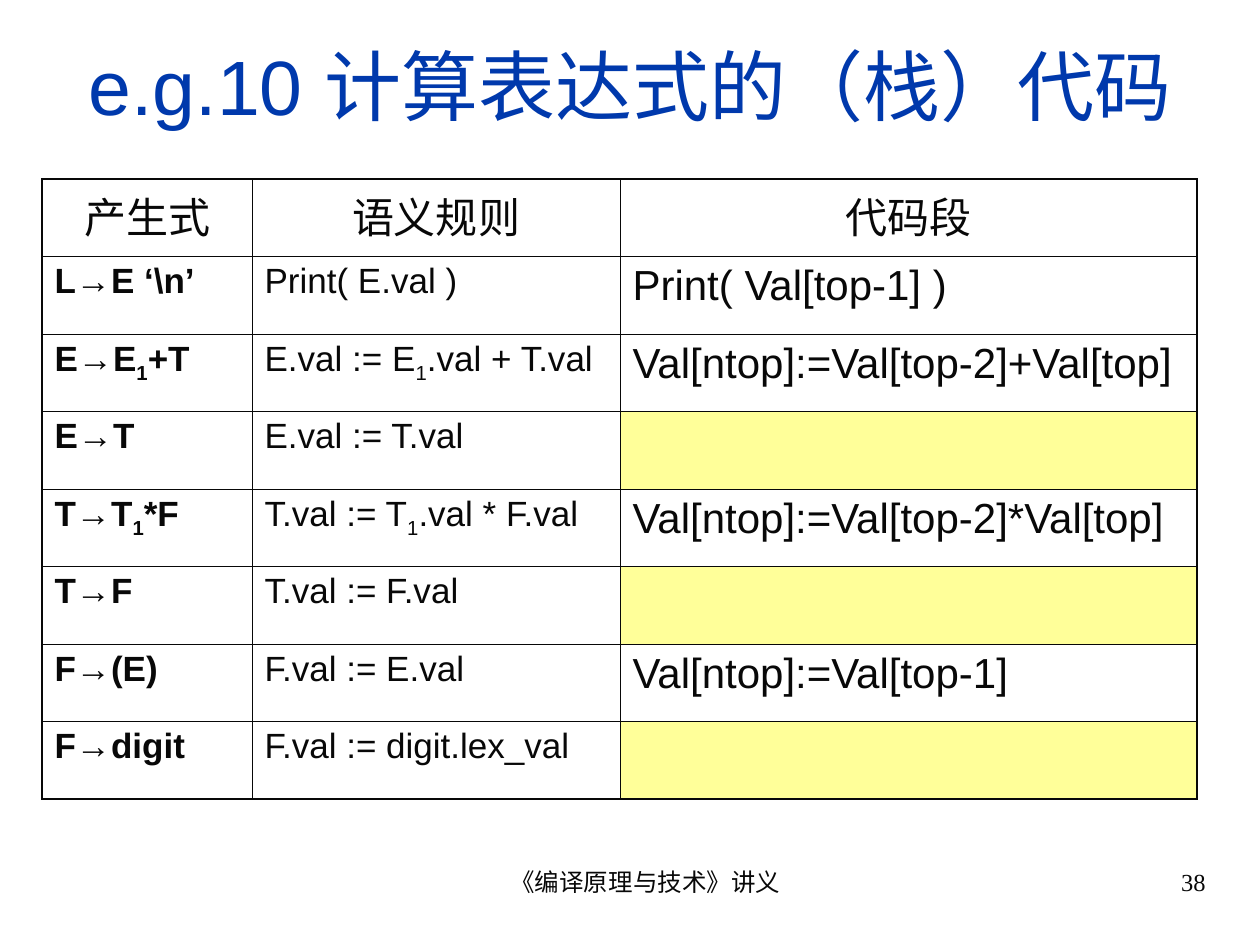
from dataclasses import dataclass

from lxml import etree
from pptx import Presentation
from pptx import util as u
from pptx.dml import color
from pptx.enum import text
from pptx.oxml import ns

EMU_PER_PX = 914400 / 126
COLORS = {"title": "0039AC", "ink": "080808", "blank": "FFFF99"}
SUBSCRIPT = "₁"
OUTER, INNER = 1.08, 0.45


@dataclass(frozen=True)
class Style:
    size: int
    face: str = "Arial"
    ink: str = "ink"
    bold: bool = False
    align: text.PP_ALIGN = text.PP_ALIGN.LEFT
    before: int = 0


@dataclass(frozen=True)
class Label:
    words: str
    left: int
    top: int
    width: int
    height: int
    style: Style
    anchor: text.MSO_ANCHOR = text.MSO_ANCHOR.TOP
    indent: int = 0


@dataclass(frozen=True)
class Rule:
    production: str
    semantics: str
    code: str = ""


CENTER, RIGHT = text.PP_ALIGN.CENTER, text.PP_ALIGN.RIGHT
FOOTER_FACE = "Times New Roman"
LABELS = [
    Label("e.g.10 计算表达式的（栈）代码", 42, 32, 1177, 105,
          Style(44, ink="title", align=CENTER), text.MSO_ANCHOR.MIDDLE),
    Label("《编译原理与技术》讲义", 431, 861, 399, 66,
          Style(14, FOOTER_FACE, align=CENTER), indent=30),
    Label("38", 903, 861, 315, 66,
          Style(14, FOOTER_FACE, align=RIGHT), indent=30),
]

HEADER = Style(24, align=CENTER, before=6)
COLUMN_STYLES = [Style(20, bold=True, before=5), Style(20, before=5), Style(24, before=6)]
COLUMN_WIDTHS = [210, 368, 577]
TABLE_LEFT, TABLE_TOP, TABLE_HEIGHT = 42, 179, 620
RULES = [
    Rule("产生式", "语义规则", "代码段"),
    Rule("L→E ‘\\n’", "Print( E.val )", "Print( Val[top-1] )"),
    Rule("E→E₁+T", "E.val := E₁.val + T.val", "Val[ntop]:=Val[top-2]+Val[top]"),
    Rule("E→T", "E.val := T.val"),
    Rule("T→T₁*F", "T.val := T₁.val * F.val", "Val[ntop]:=Val[top-2]*Val[top]"),
    Rule("T→F", "T.val := F.val"),
    Rule("F→(E)", "F.val := E.val", "Val[ntop]:=Val[top-1]"),
    Rule("F→digit", "F.val := digit.lex_val"),
]


def px(length: int) -> u.Emu:
    return u.Emu(round(length * EMU_PER_PX))


def rgb(name: str) -> color.RGBColor:
    return color.RGBColor.from_string(COLORS[name])


def write(para, words: str, style: Style) -> None:
    para.alignment = style.align
    para.space_before = u.Pt(style.before)
    font = para.font
    font.size, font.name, font.bold = u.Pt(style.size), style.face, style.bold
    font.color.rgb = rgb(style.ink)
    head, mark, tail = words.partition(SUBSCRIPT)
    for part, offset in ((head, None), ("1" if mark else "", "-25000"), (tail, None)):
        if part:
            span = para.add_run()
            span.text = part
            if offset:
                span._r.get_or_add_rPr().set("baseline", offset)


def draw_label(page, label: Label) -> None:
    box = page.shapes.add_textbox(
        px(label.left), px(label.top), px(label.width), px(label.height))
    frame = box.text_frame
    frame.word_wrap = True
    frame.vertical_anchor = label.anchor
    para = frame.paragraphs[0]
    write(para, label.words, label.style)
    if label.indent:
        properties = para._p.get_or_add_pPr()
        properties.set("marL", str(px(label.indent)))
        properties.set("indent", "0")


def draw_borders(cell, widths: dict[str, float]) -> None:
    properties = cell._tc.get_or_add_tcPr()
    for side, width in widths.items():
        line = etree.SubElement(properties, ns.qn(f"a:ln{side}"), w=str(u.Pt(width)))
        fill = etree.SubElement(line, ns.qn("a:solidFill"))
        etree.SubElement(fill, ns.qn("a:srgbClr"), val=COLORS["ink"])


def draw_rules(page, rules: list[Rule]) -> None:
    count, last = len(rules), len(COLUMN_WIDTHS) - 1
    table = page.shapes.add_table(
        count, last + 1, px(TABLE_LEFT), px(TABLE_TOP),
        px(sum(COLUMN_WIDTHS)), px(TABLE_HEIGHT)).table
    table.first_row = table.horz_banding = False
    for column, width in zip(table.columns, COLUMN_WIDTHS):
        column.width = px(width)
    edges = [TABLE_HEIGHT * i // count for i in range(count + 1)]
    for r, rule in enumerate(rules):
        table.rows[r].height = px(edges[r + 1] - edges[r])
        for c, words in enumerate((rule.production, rule.semantics, rule.code)):
            cell = table.cell(r, c)
            draw_borders(cell, {
                "L": OUTER if c == 0 else INNER,
                "R": OUTER if c == last else INNER,
                "T": OUTER if r == 0 else INNER,
                "B": OUTER if r == count - 1 else INNER,
            })
            if words:
                cell.fill.background()
                style = HEADER if r == 0 else COLUMN_STYLES[c]
                write(cell.text_frame.paragraphs[0], words, style)
            else:
                cell.fill.solid()
                cell.fill.fore_color.rgb = rgb("blank")


def main() -> None:
    deck = Presentation()
    deck.slide_width, deck.slide_height = px(1260), px(945)
    page = deck.slides.add_slide(deck.slide_layouts[6])
    title, *footers = LABELS
    draw_label(page, title)
    draw_rules(page, RULES)
    for footer in footers:
        draw_label(page, footer)
    deck.save("out.pptx")


if __name__ == "__main__":
    main()
